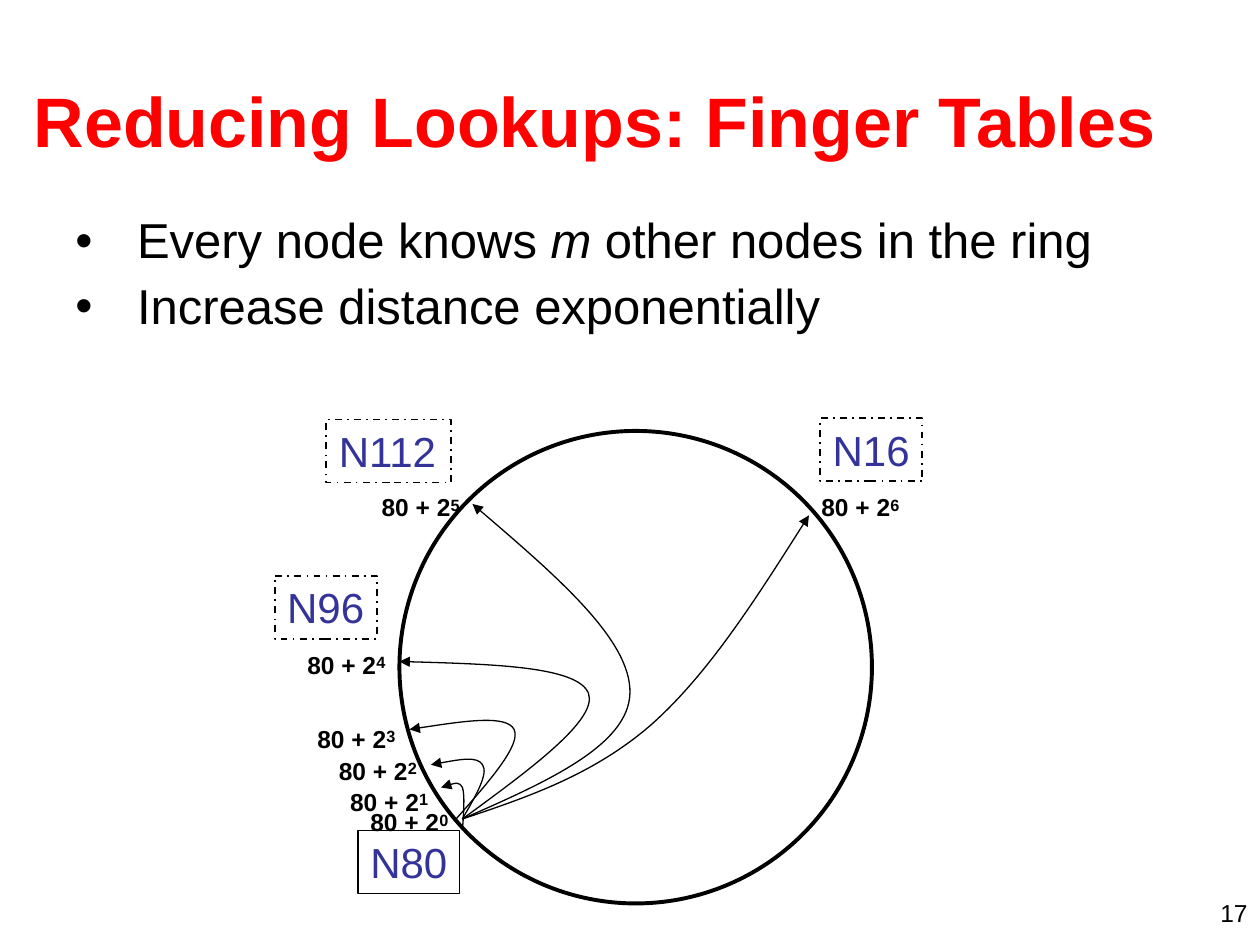
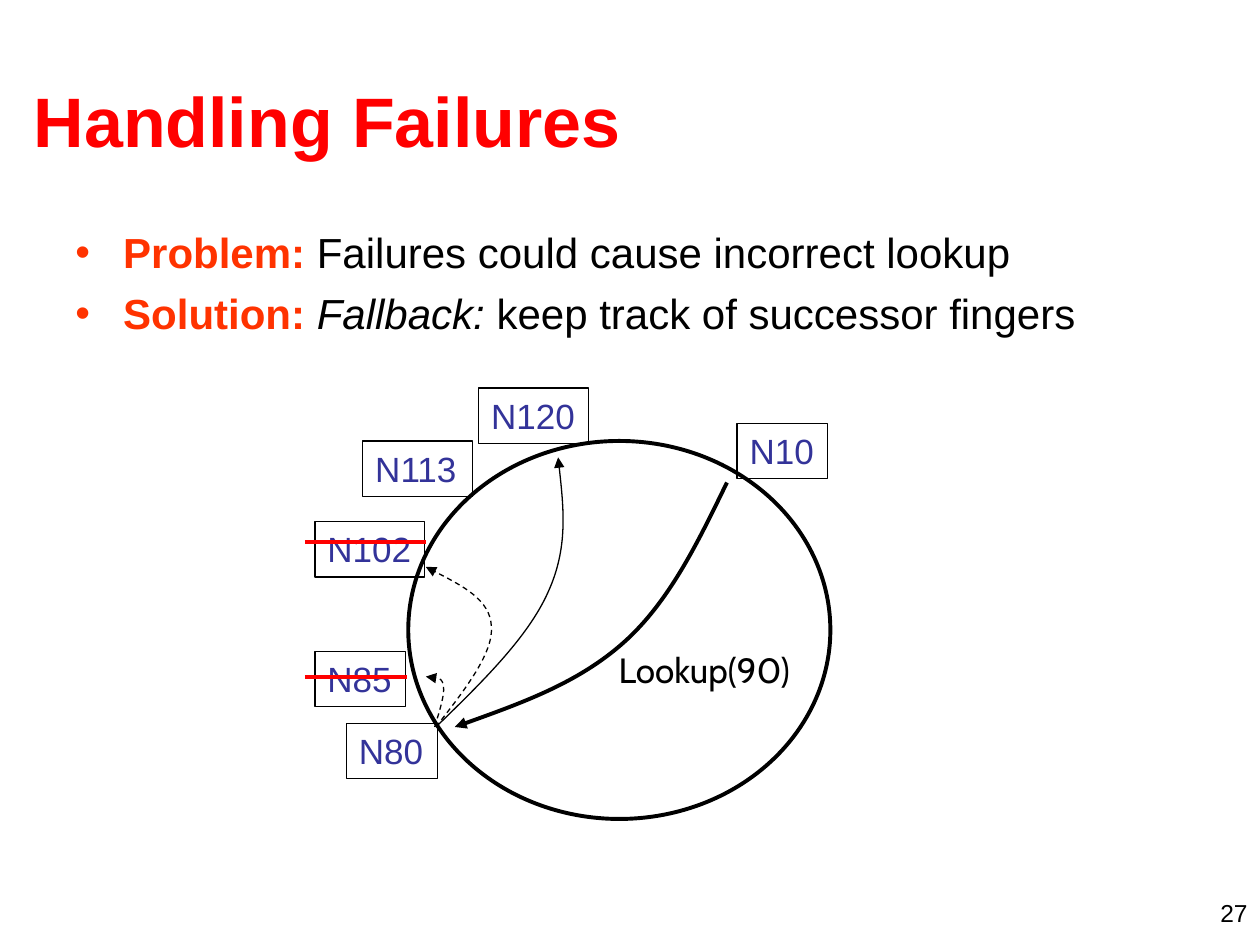
from dataclasses import dataclass

from lxml import etree
from pptx import Presentation
from pptx.dml.color import RGBColor
from pptx.enum.dml import MSO_LINE
from pptx.enum.shapes import MSO_CONNECTOR, MSO_SHAPE
from pptx.enum.text import MSO_ANCHOR, MSO_AUTO_SIZE, PP_ALIGN
from pptx.oxml.ns import qn
from pptx.util import Pt

PX = 9144
BLANK_LAYOUT = 6
RECTANGLE, ELLIPSE = MSO_SHAPE.RECTANGLE, MSO_SHAPE.OVAL
STRAIGHT = MSO_CONNECTOR.STRAIGHT
DASH, DASH_DOT = MSO_LINE.DASH, MSO_LINE.DASH_DOT
TOP, MIDDLE = MSO_ANCHOR.TOP, MSO_ANCHOR.MIDDLE
LEFT, CENTER, RIGHT = PP_ALIGN.LEFT, PP_ALIGN.CENTER, PP_ALIGN.RIGHT
FIT_SHAPE = MSO_AUTO_SIZE.SHAPE_TO_FIT_TEXT


@dataclass(frozen=True)
class Theme:
    font: str = "Arial"
    lookup_font: str = "Cabin"
    black: str = "000000"
    title: str = "FF0000"
    strike: str = "FF0000"
    accent: str = "FF3300"
    node: str = "333399"
    title_size: int = 40
    small_size: int = 14
    exponent_size: int = 16
    lookup_size: int = 20
    thin: float = 0.75
    medium: float = 1
    thick: float = 2.25


THEME = Theme()


@dataclass(frozen=True)
class Box:
    left: int
    top: int
    width: int
    height: int

    def inner(self, left, top, width, height):
        return Box(self.left + left, self.top + top, width, height)

    def point(self, x, y):
        return (self.left + x) * PX, (self.top + y) * PX

    def emu(self):
        return [value * PX for value in (self.left, self.top, self.width, self.height)]


@dataclass(frozen=True)
class Run:
    text: str
    size: int
    color: str = THEME.black
    bold: bool = False
    italic: bool = False
    font: str = THEME.font
    baseline: int = 0


TITLE_BOX = Box(17, 32, 958, 125)
NUMBER_BOX = Box(767, 708, 233, 25)
DIAGRAM_BOX = Box(200, 300, 600, 450)


def add_runs(paragraph, runs):
    for part in runs:
        run = paragraph.add_run()
        run.text = part.text
        run.font.name = part.font
        run.font.size = Pt(part.size)
        run.font.bold = part.bold
        run.font.italic = part.italic
        run.font.color.rgb = RGBColor.from_string(part.color)
        if part.baseline:
            run._r.get_or_add_rPr().set("baseline", str(part.baseline))


def set_text(shape, runs, align=LEFT, anchor=TOP, fit=False):
    frame = shape.text_frame
    frame.word_wrap = not fit
    frame.vertical_anchor = anchor
    if fit:
        frame.auto_size = FIT_SHAPE
    paragraph = frame.paragraphs[0]
    paragraph.alignment = align
    add_runs(paragraph, runs)


def add_text(slide, box, runs, **options):
    set_text(slide.shapes.add_textbox(*box.emu()), runs, **options)


def style_line(shape, width, color=THEME.black, dash=None):
    shape.line.color.rgb = RGBColor.from_string(color)
    shape.line.width = Pt(width)
    if dash is not None:
        shape.line.dash_style = dash


def add_outline(slide, kind, box, width, dash=None):
    shape = slide.shapes.add_shape(kind, *box.emu())
    shape.shadow.inherit = False
    shape.fill.background()
    style_line(shape, width, dash=dash)
    return shape


def add_node(slide, box, name, left, top, size, height, width=THEME.thin, dash=None):
    node_width = 27 + len(name) * size * 3 // 4
    node_box = box.inner(left, top, node_width, height)
    shape = add_outline(slide, RECTANGLE, node_box, width, dash)
    set_text(shape, [Run(name, size, THEME.node)], fit=True)


def midpoint(first, second):
    return tuple((a + b) // 2 for a, b in zip(first, second))


def add_curved_arrow(slide, box, points, width=THEME.thin, dash=None):
    start, pull_in, middle, pull_out, end = [box.point(*point) for point in points]
    builder = slide.shapes.build_freeform(*start)
    builder.add_line_segments(
        [midpoint(start, pull_in), pull_in, middle,
         pull_out, midpoint(pull_out, end), end], close=False)
    shape = builder.convert_to_shape()
    shape.shadow.inherit = False
    shape.fill.background()
    style_line(shape, width, dash=dash)
    properties = shape._element.spPr
    outline = properties.find(".//" + qn("a:path"))
    segments = outline.findall(qn("a:lnTo"))
    for index in range(0, len(segments), 3):
        bezier = etree.SubElement(outline, qn("a:cubicBezTo"))
        for segment in segments[index:index + 3]:
            bezier.append(segment[0])
            outline.remove(segment)
    etree.SubElement(properties.find(qn("a:ln")), qn("a:tailEnd"), type="triangle")


def add_strike(slide, box, left, right, y):
    line = slide.shapes.add_connector(STRAIGHT, *box.point(left, y), *box.point(right, y))
    style_line(line, THEME.thick, THEME.strike)
    etree.SubElement(line._element.spPr, qn("a:effectLst"))


def add_bullets(slide, box, items, indent, color, space_before, line_spacing):
    frame = slide.shapes.add_textbox(*box.emu()).text_frame
    frame.word_wrap = True
    for index, runs in enumerate(items):
        paragraph = frame.add_paragraph() if index else frame.paragraphs[0]
        paragraph.space_before = Pt(space_before)
        paragraph.line_spacing = line_spacing
        properties = paragraph._p.get_or_add_pPr()
        properties.set("marL", str(indent * PX))
        properties.set("indent", str(-indent * PX))
        bullet_color = etree.SubElement(properties, qn("a:buClr"))
        etree.SubElement(bullet_color, qn("a:srgbClr"), val=color)
        etree.SubElement(properties, qn("a:buFont"), typeface=THEME.font)
        etree.SubElement(properties, qn("a:buChar"), char="•")
        add_runs(paragraph, runs)


def add_base_slide(presentation, title, number):
    slide = presentation.slides.add_slide(presentation.slide_layouts[BLANK_LAYOUT])
    add_text(slide, TITLE_BOX, [Run(title, THEME.title_size, THEME.title, bold=True)],
             anchor=MIDDLE)
    add_text(slide, NUMBER_BOX, [Run(str(number), THEME.small_size)], align=RIGHT)
    return slide


def draw_finger_ring(slide, box):
    add_outline(slide, ELLIPSE, box.inner(117, 42, 375, 375), THEME.thick)
    add_node(slide, box, "N80", 84, 359, 24, 50)
    for name, left, top in (("N112", 59, 33), ("N96", 18, 157), ("N16", 451, 32)):
        add_node(slide, box, name, left, top, 24, 50, THEME.medium, DASH_DOT)

    label_places = ((84, 333), (68, 317), (59, 292), (42, 267),
                    (34, 208), (93, 83), (442, 83))
    for exponent, (left, top) in enumerate(label_places):
        runs = [Run("80 + 2", THEME.small_size, bold=True),
                Run(str(exponent), THEME.exponent_size, bold=True, baseline=20000)]
        add_text(slide, box.inner(left, top, 82, 37), runs, fit=True)

    fingers = (
        ((167, 359), (169, 331), (167, 325), (164, 320), (150, 325)),
        ((167, 350), (188, 314), (183, 307), (179, 300), (142, 307)),
        ((162, 350), (214, 291), (208, 279), (202, 267), (125, 279)),
        ((167, 350), (275, 271), (267, 250), (258, 229), (117, 225)),
        ((167, 350), (299, 292), (300, 250), (301, 208), (175, 100)),
        ((167, 350), (271, 315), (317, 275), (362, 235), (442, 109)),
    )
    for points in fingers:
        add_curved_arrow(slide, box, points)


def draw_failure_ring(slide, box):
    add_outline(slide, ELLIPSE, box.inner(124, 50, 335, 300), THEME.thick)
    nodes = (("N120", 180, 8), ("N113", 88, 50), ("N102", 50, 114),
             ("N80", 75, 274), ("N85", 50, 217), ("N10", 385, 36))
    for name, left, top in nodes:
        add_node(slide, box, name, left, top, 20, 44)
    add_strike(slide, box, 42, 123, 237)
    add_strike(slide, box, 42, 138, 130)

    failed_fingers = (
        ((145, 277), (153, 251), (152, 245), (151, 238), (138, 237)),
        ((146, 277), (192, 218), (190, 197), (189, 176), (138, 150)),
    )
    for points in failed_fingers:
        add_curved_arrow(slide, box, points, dash=DASH)
    live_finger = ((146, 277), (219, 206), (235, 170), (251, 135), (243, 63))
    add_curved_arrow(slide, box, live_finger)
    lookup = ((377, 83), (331, 178), (295, 210), (259, 242), (161, 277))
    add_curved_arrow(slide, box, lookup, THEME.thick)
    add_text(slide, box.inner(276, 210, 166, 44),
             [Run("Lookup(90)", THEME.lookup_size, font=THEME.lookup_font)],
             align=CENTER, fit=True)


def build_finger_slide(presentation):
    slide = add_base_slide(presentation, "Reducing Lookups: Finger Tables", 17)
    draw_finger_ring(slide, DIAGRAM_BOX)
    items = (
        (Run("Every node knows ", 28), Run("m", 28, italic=True),
         Run(" other nodes in the ring", 28)),
        (Run("Increase distance exponentially", 28),),
    )
    add_bullets(slide, Box(50, 167, 900, 108), items, 49, THEME.black, 7, 0.9)


def build_failure_slide(presentation):
    slide = add_base_slide(presentation, "Handling Failures", 27)
    draw_failure_ring(slide, DIAGRAM_BOX)
    items = (
        (Run("Problem:", 24, THEME.accent, bold=True),
         Run(" Failures could cause incorrect lookup", 24)),
        (Run("Solution: ", 24, THEME.accent, bold=True),
         Run("Fallback:", 24, italic=True),
         Run(" keep track of successor fingers", 24)),
    )
    add_bullets(slide, Box(50, 175, 900, 133), items, 38, THEME.accent, 6, 1.0)


def main():
    presentation = Presentation()
    presentation.slide_width = 1000 * PX
    presentation.slide_height = 750 * PX
    build_finger_slide(presentation)
    build_failure_slide(presentation)
    presentation.save("out.pptx")


if __name__ == "__main__":
    main()
